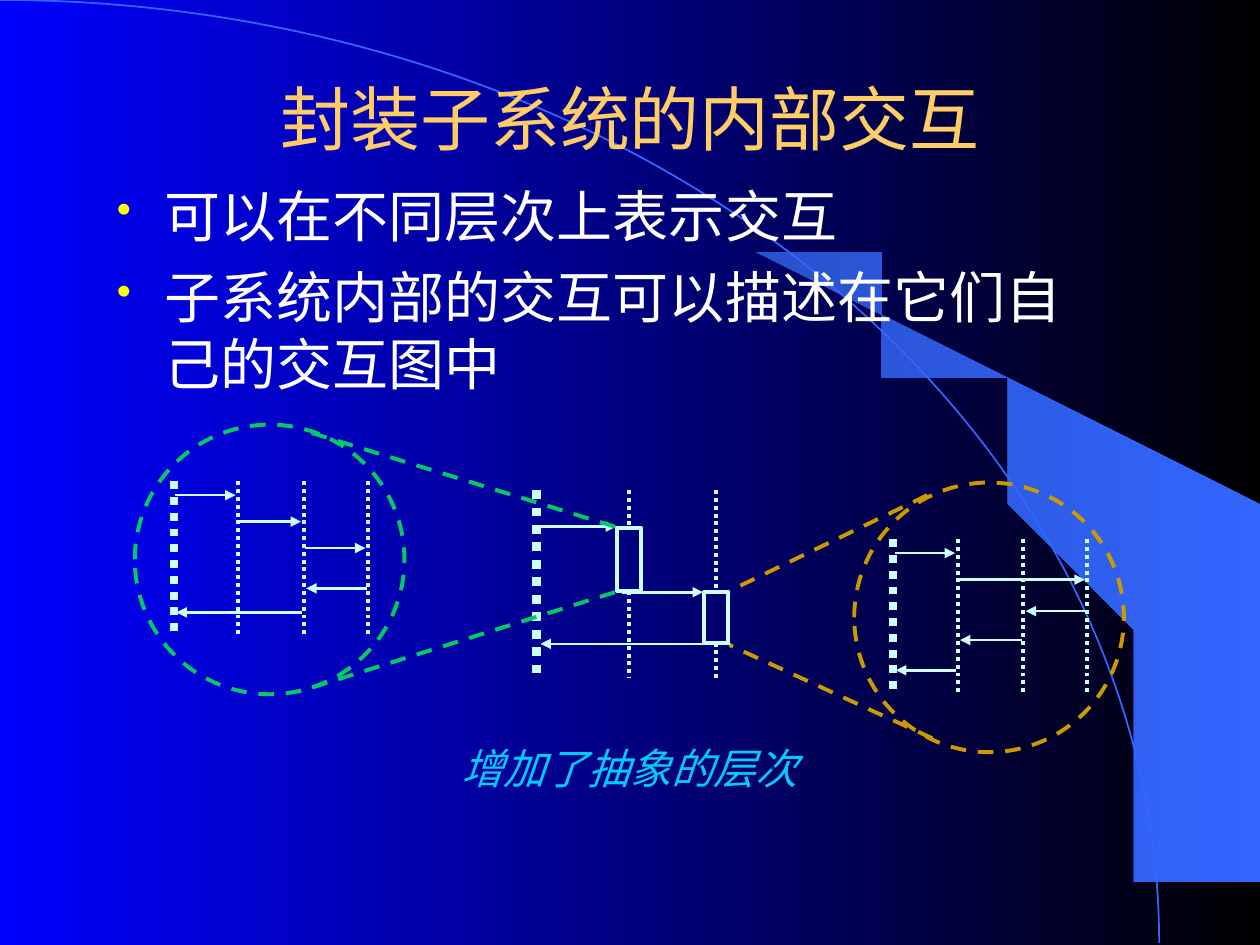
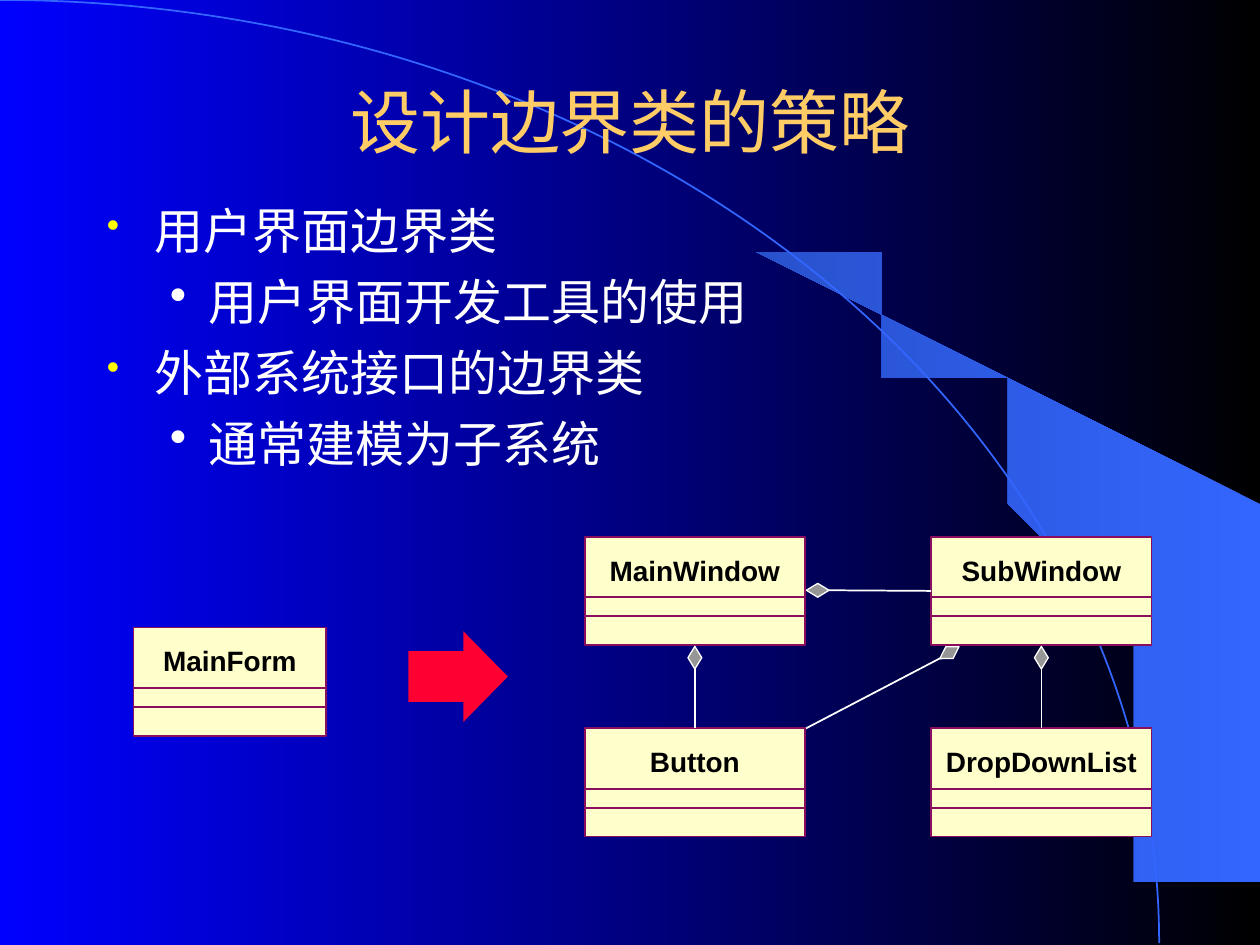
"""Builds two slides on encapsulated subsystem interactions and boundary class design."""
from lxml.etree import SubElement
from pptx import Presentation
from pptx.dml.color import RGBColor
from pptx.enum.dml import MSO_LINE as DASH
from pptx.enum.shapes import MSO_CONNECTOR, MSO_SHAPE as SHAPE
from pptx.enum.text import MSO_ANCHOR as ANCHOR, PP_ALIGN as ALIGN
from pptx.oxml.ns import qn
from pptx.util import Inches, Pt

BLACK, BLUE, WHITE, GOLD, YELLOW = "000000", "0000FF", "FFFFFF", "FFCC66", "FFFF00"
PALE, GREEN, OCHRE, CYAN = "CCFFFF", "00CC66", "CC9900", "00CCFF"
SKY, DEEP_SKY = "3366FF", "2851CC"
CREAM, PLUM, RED, GREY = "FFFFCC", "8A0E5E", "FF0033", "969696"
TOP, LEFT, BOTTOM, RIGHT = range(4)

WEDGE = [(9.2, 7.48), (9.99, 7.49), (9.99, 4.23), (5.89, 1.73), (6.24, 1.99), (6.53, 2.22),
         (6.85, 2.5), (7.16, 2.8), (7.62, 3.3), (8.03, 3.84), (8.32, 4.31), (8.58, 4.79),
         (8.78, 5.28), (8.93, 5.72), (9.03, 6.09), (9.13, 6.56), (9.17, 6.96)]
BULLETS = [dict(indent=0.38, hanging=0.38, color=YELLOW, percent=75),
           dict(indent=0.81, hanging=0.31, color=WHITE, percent=100)]

INTERACTION = dict(
    title="封装子系统的内部交互", title_box=(0.75, 0.67, 8.5, 0.52),
    body=[(0, "可以在不同层次上表示交互"),
          (0, "子系统内部的交互可以描述在它们自己的交互图中")],
    body_box=(0.83, 1.39, 8.03, 4.58), size=32, space=8)
CAPTION = "增加了抽象的层次"
ACTOR_LINE = (4.26, 3.89, 4.26, 5.38)
ACTIVATIONS = [(4.9, 4.19, 0.19, 0.5), (5.59, 4.7, 0.19, 0.4)]
MAIN_MESSAGES = [(4.25, 4.18, 4.89, 4.18), (4.94, 4.7, 5.58, 4.7), (5.8, 5.11, 4.29, 5.11)]
LIFELINE_OFFSETS = [0, 0.51, 1.03, 1.54]
SUBSYSTEMS = [
    dict(left=1.38, top=3.82, color=GREEN,
         messages=[(0, 1, 0.11), (1, 2, 0.32), (2, 3, 0.53), (3, 2, 0.85), (2, 0, 1.04)],
         zoom_lines=[(4.88, 4.7, 2.37, 5.49), (4.88, 4.18, 2.39, 3.41)]),
    dict(left=7.09, top=4.28, color=OCHRE,
         messages=[(0, 1, 0.11), (1, 3, 0.32), (3, 2, 0.57), (2, 1, 0.8), (1, 0, 1.04)],
         zoom_lines=[(7.36, 3.93, 5.79, 4.69), (7.4, 5.86, 5.79, 5.12)]),
]

BOUNDARY = dict(
    title="设计边界类的策略", title_box=(0.75, 0.67, 8.5, 0.58),
    body=[(0, "用户界面边界类"), (1, "用户界面开发工具的使用"),
          (0, "外部系统接口的边界类"), (1, "通常建模为子系统")],
    body_box=(0.75, 1.54, 8.76, 2.96), size=28, space=7)
CLASSES = {"MainForm": (1.06, 4.98, 1.53), "MainWindow": (4.64, 4.26, 1.75),
           "SubWindow": (7.39, 4.26, 1.75), "Button": (4.64, 5.78, 1.75),
           "DropDownList": (7.39, 5.78, 1.75)}
CLASS_HEIGHT = 0.86
CLASS_DIVIDERS = [0.48, 0.63]
AGGREGATIONS = [
    dict(diamond=(5.46, 5.13, 0.11, 0.18), side=BOTTOM, part="Button", part_side=TOP),
    dict(diamond=(8.21, 5.13, 0.11, 0.18), side=BOTTOM, part="DropDownList", part_side=TOP),
    dict(diamond=(6.4, 4.63, 0.18, 0.11), side=RIGHT, part="SubWindow", part_side=LEFT),
]


def rgb(color):
    return RGBColor.from_string(color)


def set_format(target, **values):
    for name, value in values.items():
        setattr(target, name, value)


def set_gradient(fill, first, last):
    fill.gradient()
    fill.gradient_angle = 180
    for stop, color in zip(fill.gradient_stops, (first, last)):
        stop.color.rgb = rgb(color)


def set_line(line, color, width, dash=None):
    line.fill.solid()
    line.color.rgb = rgb(color)
    set_format(line, width=Pt(width), dash_style=dash)


def add_shape(slide, kind, box, fill=None, line=None):
    shape = slide.shapes.add_shape(kind, *map(Inches, box))
    shape.shadow.inherit = False
    if fill:
        shape.fill.solid()
        shape.fill.fore_color.rgb = rgb(fill)
    else:
        shape.fill.background()
    if line:
        set_line(shape.line, *line)
    else:
        shape.line.fill.background()
    return shape


def add_line(slide, points, line, begin=None, end=None, arrow=False):
    connector = slide.shapes.add_connector(MSO_CONNECTOR.STRAIGHT, *map(Inches, points))
    set_line(connector.line, *line)
    properties = connector._element.spPr
    if arrow:
        SubElement(properties.find(qn("a:ln")), qn("a:tailEnd"), type="triangle")
    SubElement(properties, qn("a:effectLst"))
    if begin:
        connector.begin_connect(*begin)
    if end:
        connector.end_connect(*end)


def set_font(paragraph, name, size, color, **values):
    set_format(paragraph.font, name=name, size=Pt(size), **values)
    paragraph.font.color.rgb = rgb(color)


def add_text(slide, box, text, size, color, anchor=ANCHOR.TOP, **values):
    frame = slide.shapes.add_textbox(*map(Inches, box)).text_frame
    set_format(frame, word_wrap=True, vertical_anchor=anchor)
    paragraph = frame.paragraphs[0]
    set_format(paragraph, text=text, alignment=ALIGN.CENTER)
    set_font(paragraph, "Arial", size, color, **values)


def add_bullet(paragraph, indent, hanging, color, percent):
    properties = paragraph._p.get_or_add_pPr()
    properties.set("marL", str(Inches(indent)))
    properties.set("indent", str(-Inches(hanging)))
    bullet_color = SubElement(properties, qn("a:buClr"))
    SubElement(bullet_color, qn("a:srgbClr"), val=color)
    SubElement(properties, qn("a:buSzPct"), val=str(percent * 1000))
    SubElement(properties, qn("a:buChar"), char="•")


def add_body(slide, box, items, size, space):
    frame = slide.shapes.add_textbox(*map(Inches, box)).text_frame
    frame.word_wrap = True
    for index, (level, text) in enumerate(items):
        paragraph = frame.add_paragraph() if index else frame.paragraphs[0]
        set_format(paragraph, text=text, level=level)
        add_bullet(paragraph, **BULLETS[level])
        paragraph.space_before = Pt(space if index else 0)
        set_font(paragraph, "Times New Roman", size, WHITE)


def add_slide(presentation, content):
    slide = presentation.slides.add_slide(presentation.slide_layouts[6])
    set_gradient(slide.background.fill, BLACK, BLUE)
    builder = slide.shapes.build_freeform(*WEDGE[0], scale=Inches(1))
    builder.add_line_segments(WEDGE[1:], close=True)
    wedge = builder.convert_to_shape()
    wedge.shadow.inherit = False
    set_gradient(wedge.fill, SKY, DEEP_SKY)
    wedge.line.fill.background()
    add_shape(slide, SHAPE.ARC, (-9.2, 0, 18.4, 14.97), line=(SKY, 1))
    add_text(slide, content["title_box"], content["title"], 40, GOLD, ANCHOR.MIDDLE)
    add_body(slide, content["body_box"], content["body"], content["size"], content["space"])
    return slide


def add_subsystem(slide, left, top, color, messages, zoom_lines):
    outline = (color, 2.25, DASH.DASH)
    add_shape(slide, SHAPE.OVAL, (left - 0.31, top - 0.45, 2.14, 2.14), line=outline)
    for points in zoom_lines:
        add_line(slide, points, outline)
    lifelines = [left + offset for offset in LIFELINE_OFFSETS]
    for index, x in enumerate(lifelines):
        width = 2.25 if index else 4.5
        add_line(slide, (x, top, x, top + 1.22), (PALE, width, DASH.ROUND_DOT))
    for source, target, offset in messages:
        direction = 1 if target > source else -1
        start = lifelines[source] + 0.01 * direction
        finish = lifelines[target] - 0.02 * direction
        add_line(slide, (start, top + offset, finish, top + offset), (PALE, 1.5), arrow=True)


def build_interaction(presentation):
    slide = add_slide(presentation, INTERACTION)
    add_text(slide, (2.6, 5.84, 4.79, 0.5), CAPTION, 24, CYAN, italic=True)
    add_line(slide, ACTOR_LINE, (PALE, 5, DASH.ROUND_DOT))
    dotted = (PALE, 2.25, DASH.ROUND_DOT)
    for box in ACTIVATIONS:
        left, top, width, height = box
        center = left + width / 2
        activation = add_shape(slide, SHAPE.RECTANGLE, box, line=(PALE, 2.25))
        add_line(slide, (center, 3.89, center, top), dotted, end=(activation, TOP))
        add_line(slide, (center, top + height, center, 5.38), dotted, begin=(activation, BOTTOM))
    for points in MAIN_MESSAGES:
        add_line(slide, points, (PALE, 1.5), arrow=True)
    for subsystem in SUBSYSTEMS:
        add_subsystem(slide, **subsystem)


def add_class(slide, name, left, top, width):
    shape = add_shape(slide, SHAPE.RECTANGLE, (left, top, width, CLASS_HEIGHT), CREAM, (PLUM, 1))
    frame = shape.text_frame
    set_format(frame, word_wrap=True, vertical_anchor=ANCHOR.TOP, margin_top=Inches(0.13),
               margin_left=0, margin_right=0, margin_bottom=0)
    paragraph = frame.paragraphs[0]
    set_format(paragraph, text=name, alignment=ALIGN.CENTER)
    set_font(paragraph, "Arial", 16, BLACK, bold=True)
    for offset in CLASS_DIVIDERS:
        add_line(slide, (left, top + offset, left + width, top + offset), (PLUM, 1))
    return shape


def build_boundary(presentation):
    slide = add_slide(presentation, BOUNDARY)
    add_line(slide, (7.47, 5.22, 6.36, 5.8), (WHITE, 1))
    classes = {name: add_class(slide, name, *place) for name, place in CLASSES.items()}
    arrow = add_shape(slide, SHAPE.RIGHT_ARROW, (3.24, 5.01, 0.79, 0.72), RED)
    arrow.adjustments[0], arrow.adjustments[1] = 0.56, 0.49
    for link in AGGREGATIONS:
        diamond = add_shape(slide, SHAPE.DIAMOND, link["diamond"], GREY, (WHITE, 0.75))
        add_line(slide, (0, 0, 0, 0), (WHITE, 1), begin=(diamond, link["side"]),
                 end=(classes[link["part"]], link["part_side"]))
    tilted = add_shape(slide, SHAPE.DIAMOND, (7.48, 5.09, 0.11, 0.18), GREY, (WHITE, 0.75))
    tilted.rotation = 58.1


def main():
    presentation = Presentation()
    set_format(presentation, slide_width=Inches(10), slide_height=Inches(7.5))
    build_interaction(presentation)
    build_boundary(presentation)
    presentation.save("out.pptx")


if __name__ == "__main__":
    main()
